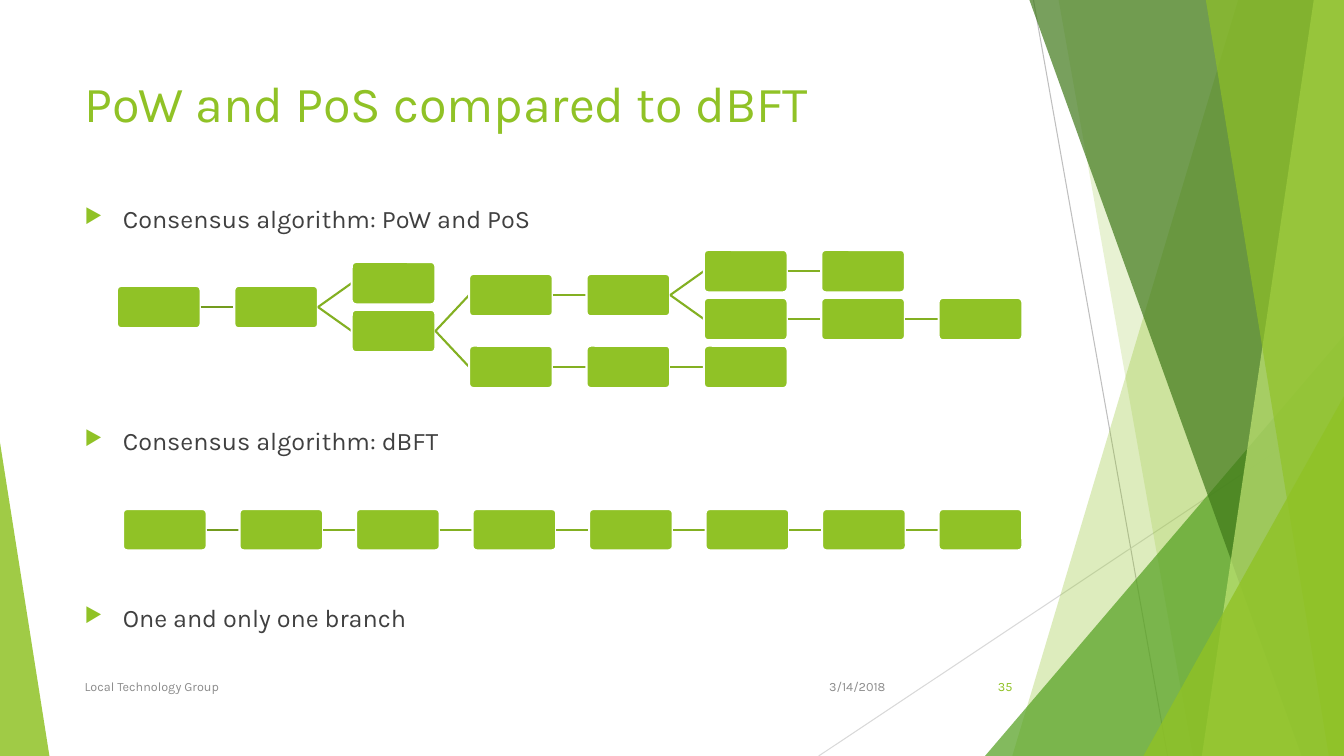
from dataclasses import dataclass

from lxml import etree
from pptx import Presentation
from pptx.dml.color import RGBColor
from pptx.enum import shapes, text
from pptx.oxml import ns
from pptx.util import Inches, Pt


@dataclass(frozen=True)
class Theme:
    font: str = "Karla"
    green: str = "90C226"
    forest: str = "3F7819"
    leaf: str = "54A021"
    lime: str = "C0E474"
    first_link: str = "739B1E"
    link: str = "83B022"
    body: str = "404040"
    muted: str = "8C8C8C"
    ray: str = "BFBFBF"
    pale_ray: str = "D9D9D9"
    white: str = "FFFFFF"
    title_size: int = 36
    body_size: int = 18
    footer_size: int = 9


THEME = Theme()
WIDTH, HEIGHT = 13.33, 7.5
BLOCK_WIDTH = 0.83
COLUMNS = 8

# Each block: column, level (steps down from the top), index of its parent
FORKED_CHAIN = [
    (0, 3, None), (1, 3, 0), (2, 1, 1), (2, 5, 1),
    (3, 2, 3), (4, 2, 4), (5, 0, 5), (6, 0, 6),
    (5, 4, 5), (6, 4, 8), (7, 4, 9),
    (3, 8, 3), (4, 8, 11), (5, 8, 12),
]
SINGLE_CHAIN = [(i, 0, i - 1 if i else None) for i in range(COLUMNS)]


def rgb(color):
    return RGBColor.from_string(color)


def add_child(parent, tag, **attributes):
    return etree.SubElement(parent, ns.qn(tag), attributes)


def style_facet(facet, color, opacity):
    facet.shadow.inherit = False
    facet.fill.solid()
    facet.fill.fore_color.rgb = rgb(color)
    facet.line.fill.background()
    tint = facet.fill._xPr.find(".//" + ns.qn("a:srgbClr"))
    add_child(tint, "a:alpha", val=str(opacity * 1000))


def add_line(slide, start, end, color, weight):
    line = slide.shapes.add_connector(
        shapes.MSO_CONNECTOR.STRAIGHT, *map(Inches, (*start, *end)))
    line.line.color.rgb = rgb(color)
    line.line.width = Pt(weight)
    add_child(line._element.spPr, "a:effectLst")


def add_text(slide, box, lines, size, color, align=text.PP_ALIGN.LEFT,
             anchor=text.MSO_ANCHOR.TOP, bullet=False):
    """Place lines, each a (wording, space before) pair, in the box."""
    frame = slide.shapes.add_textbox(*map(Inches, box)).text_frame
    frame.word_wrap = True
    frame.vertical_anchor = anchor
    for i, (wording, gap) in enumerate(lines):
        paragraph = frame.add_paragraph() if i else frame.paragraphs[0]
        paragraph.text = wording
        paragraph.alignment = align
        if bullet:
            props = paragraph._p.get_or_add_pPr()
            props.set("marL", str(Inches(0.38)))
            props.set("indent", str(Inches(-0.38)))
            add_child(add_child(props, "a:buClr"), "a:srgbClr", val=THEME.green)
            add_child(props, "a:buSzPct", val="80000")
            add_child(props, "a:buChar", char="▶")
        if gap:
            paragraph.space_before = Pt(gap)
        paragraph.font.name = THEME.font
        paragraph.font.size = Pt(size)
        paragraph.font.color.rgb = rgb(color)


def add_band(slide, top_x, bottom_x, color, opacity):
    """Full-height band from a slanted left edge to the slide's right edge."""
    outline = slide.shapes.build_freeform(Inches(top_x), 0)
    corners = [(WIDTH, 0), (WIDTH, HEIGHT), (bottom_x, HEIGHT)]
    outline.add_line_segments([tuple(map(Inches, c)) for c in corners])
    style_facet(outline.convert_to_shape(), color, opacity)


def add_wedge(slide, left, width, height, apex, color, opacity):
    """Triangle standing on the slide's bottom edge."""
    wedge = slide.shapes.add_shape(
        shapes.MSO_SHAPE.ISOSCELES_TRIANGLE,
        *map(Inches, (left, HEIGHT - height, width, height)))
    wedge.adjustments[0] = apex
    style_facet(wedge, color, opacity)


def add_backdrop(slide):
    add_line(slide, (10.25, 0), (11.58, HEIGHT), THEME.ray, 0.75)
    add_line(slide, (WIDTH, 4.03), (8.12, HEIGHT), THEME.pale_ray, 0.75)
    add_band(slide, 12.28, 10.04, THEME.green, 30)
    add_band(slide, 10.5, 11.83, THEME.green, 20)
    add_wedge(slide, 9.77, 3.56, 4.17, 1, THEME.leaf, 72)
    add_band(slide, 10.21, 12.91, THEME.forest, 70)
    add_band(slide, 13.03, 11.92, THEME.lime, 70)
    add_band(slide, 11.96, 13.18, THEME.green, 65)
    add_wedge(slide, 11.34, 1.99, 3.57, 1, THEME.green, 80)
    add_wedge(slide, 0, 0.49, 3.11, 0, THEME.green, 85)


def add_chain(slide, box, blocks, block_height):
    """Spread the blocks over the box and link each one to its parent."""
    left, top, width, height = box
    pitch = (width - BLOCK_WIDTH) / (COLUMNS - 1)
    deepest = max(level for _, level, _ in blocks)
    step = (height - block_height) / deepest if deepest else 0

    def corner(index):
        column, level, _ = blocks[index]
        return left + column * pitch, top + level * step

    for i, (_, _, parent) in enumerate(blocks):
        x, y = corner(i)
        if parent is not None:
            parent_x, parent_y = corner(parent)
            add_line(slide,
                     (parent_x + BLOCK_WIDTH, parent_y + block_height / 2),
                     (x, y + block_height / 2),
                     THEME.first_link if i == 1 else THEME.link, 1.5)
        block = slide.shapes.add_shape(
            shapes.MSO_SHAPE.ROUNDED_RECTANGLE,
            *map(Inches, (x, y, BLOCK_WIDTH, block_height)))
        block.adjustments[0] = 0.1
        block.shadow.inherit = False
        block.fill.solid()
        block.fill.fore_color.rgb = rgb(THEME.green)
        block.line.color.rgb = rgb(THEME.white)
        block.line.width = Pt(1.5)


def add_footer(slide, top, height):
    right = text.PP_ALIGN.RIGHT
    for left, width, wording, color, align in [
        (7.88, 1, "3/14/2018", THEME.muted, right),
        (0.74, 6.89, "Local Technology Group", THEME.muted, text.PP_ALIGN.LEFT),
        (9.39, 0.75, "35", THEME.green, right),
    ]:
        add_text(slide, (left, top, width, height), [(wording, 0)],
                 THEME.footer_size, color, align, text.MSO_ANCHOR.MIDDLE)


def add_comparison_slide(deck):
    slide = deck.slides.add_slide(deck.slide_layouts[6])
    add_backdrop(slide)
    # Title and bullets, spaced to leave room for the two chains
    add_text(slide, (0.74, 0.67, 11.27, 1.12),
             [("PoW and PoS compared to dBFT", 0)],
             THEME.title_size, THEME.green)
    add_text(slide, (0.74, 1.97, 11.27, 4.64),
             [("Consensus algorithm: PoW and PoS", 0),
              ("Consensus algorithm: dBFT", 137),
              ("One and only one branch", 105)],
             THEME.body_size, THEME.body, bullet=True)
    add_footer(slide, 6.61, 0.4)
    # Block chains
    add_chain(slide, (1.16, 2.48, 8.98, 1.37), FORKED_CHAIN, 0.42)
    add_chain(slide, (1.22, 5.05, 8.92, 0.41), SINGLE_CHAIN, 0.41)


def main():
    deck = Presentation()
    deck.slide_width, deck.slide_height = Inches(WIDTH), Inches(HEIGHT)
    add_comparison_slide(deck)
    deck.save("out.pptx")


if __name__ == "__main__":
    main()
